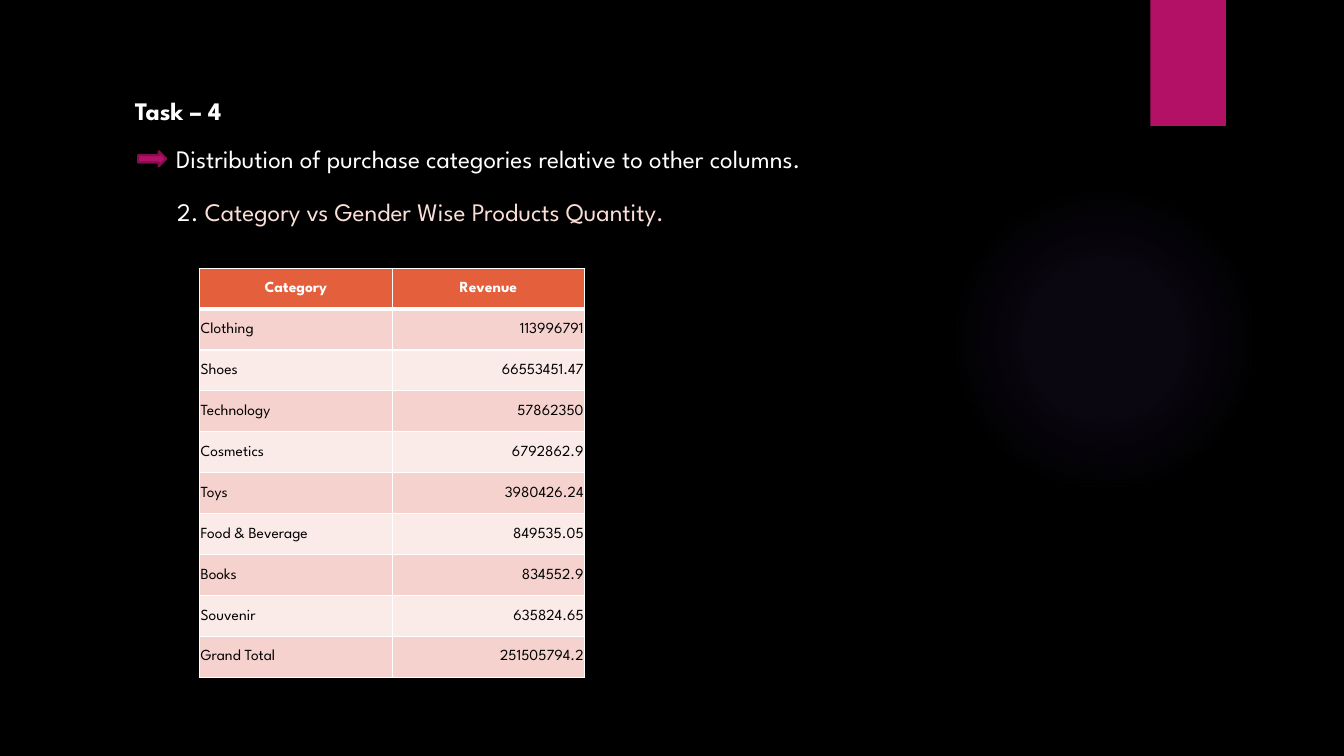
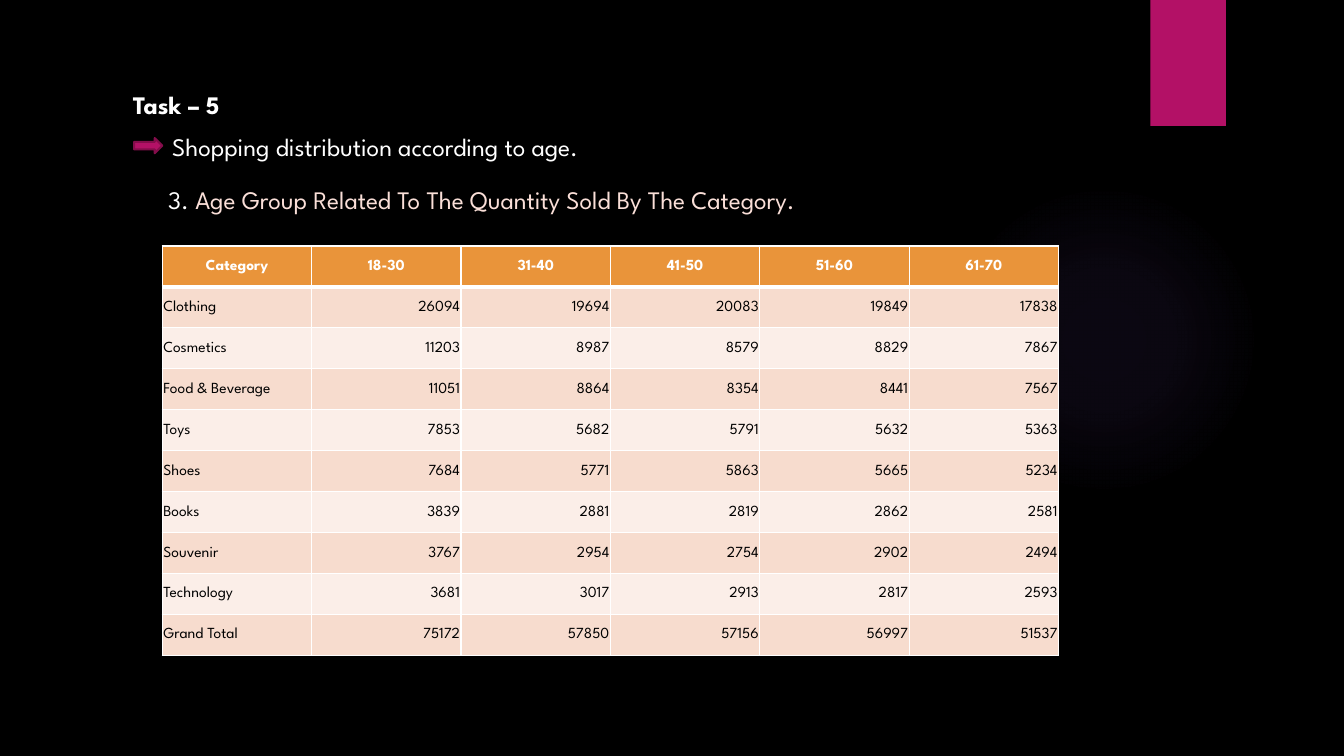
import pptx
import pptx.util
import pptx.oxml
import pptx.oxml.ns
from pptx.dml.color import RGBColor
from pptx.enum.shapes import MSO_SHAPE
from pptx.enum.text import MSO_ANCHOR, PP_ALIGN


class Theme:
    font = "League Spartan"
    head, body = 18, 11
    back, ink, white = "000000", "000000", "FFFFFF"
    pink, plum, blush, glow = "B31166", "840D4B", "FADFD8", "9B6BF2"
    line, rule = 1, 3


WIDE, HIGH = 13.33, 7.5
ROW = 0.406
ARROW = (0.28, 0.15)
GLOW = [(0, 7), (36, 6), (69, 0)]  # stop and opacity, in percent

# Each text line: left, top, width. Each palette: header, odd row, even row.
TASKS = [
    {
        "title": ("Task – 4", (1.24, 0.9, 1.14)),
        "aim": ("Distribution of purchase categories relative to other columns.",
                (1.65, 1.37, 7.67)),
        "arrow": (1.37, 1.5),
        "topic": ("2. ", "Category vs Gender Wise Products Quantity.",
                  (1.66, 1.9, 5.94)),
        "grid": (1.98, 2.66, 3.82),
        "fills": ("E45F3C", "F5D2CE", "FAEAE8"),
        "rows": [
            ("Category", "Revenue"),
            ("Clothing", "113996791"),
            ("Shoes", "66553451.47"),
            ("Technology", "57862350"),
            ("Cosmetics", "6792862.9"),
            ("Toys", "3980426.24"),
            ("Food & Beverage", "849535.05"),
            ("Books", "834552.9"),
            ("Souvenir", "635824.65"),
            ("Grand Total", "251505794.2"),
        ],
    },
    {
        "title": ("Task – 5", (1.22, 0.84, 1.14)),
        "aim": ("Shopping distribution according to age.", (1.61, 1.25, 5.08)),
        "arrow": (1.33, 1.37),
        "topic": ("3. ", "Age Group Related To The Quantity Sold By The Category.",
                  (1.57, 1.78, 7.61)),
        "grid": (1.61, 2.44, 8.89),
        "fills": ("E9943A", "F7DCCE", "FBEEE8"),
        "rows": [
            ("Category", "18-30", "31-40", "41-50", "51-60", "61-70"),
            ("Clothing", "26094", "19694", "20083", "19849", "17838"),
            ("Cosmetics", "11203", "8987", "8579", "8829", "7867"),
            ("Food & Beverage", "11051", "8864", "8354", "8441", "7567"),
            ("Toys", "7853", "5682", "5791", "5632", "5363"),
            ("Shoes", "7684", "5771", "5863", "5665", "5234"),
            ("Books", "3839", "2881", "2819", "2862", "2581"),
            ("Souvenir", "3767", "2954", "2754", "2902", "2494"),
            ("Technology", "3681", "3017", "2913", "2817", "2593"),
            ("Grand Total", "75172", "57850", "57156", "56997", "51537"),
        ],
    },
]


def inch(*sizes):
    return [pptx.util.Inches(size) for size in sizes]


def rgb(code):
    return RGBColor.from_string(code)


def style(run, size, color, bold=False):
    font = run.font
    font.name, font.size, font.bold = Theme.font, pptx.util.Pt(size), bold
    font.color.rgb = rgb(color)


def shape(slide, kind, box, fill, line=None):
    item = slide.shapes.add_shape(kind, *inch(*box))
    item.shadow.inherit = False
    item.fill.solid()
    item.fill.fore_color.rgb = rgb(fill)
    if line:
        item.line.color.rgb = rgb(line)
        item.line.width = pptx.util.Pt(1.5)
    else:
        item.line.fill.background()
    return item


def fade(item):
    """Swap the solid fill for a round glow that fades outwards."""
    stops = "".join(
        f'<a:gs pos="{pos * 1000}"><a:srgbClr val="{Theme.glow}">'
        f'<a:alpha val="{alpha * 1000}"/></a:srgbClr></a:gs>'
        for pos, alpha in GLOW)
    grad = pptx.oxml.parse_xml(
        f'<a:gradFill {pptx.oxml.ns.nsdecls("a")}><a:gsLst>{stops}</a:gsLst>'
        '<a:path path="circle"><a:fillToRect l="50000" t="50000" r="50000" b="50000"/>'
        '</a:path></a:gradFill>')
    props = item.element.spPr
    props.replace(props.find(pptx.oxml.ns.qn("a:solidFill")), grad)


def backdrop(slide):
    fade(shape(slide, MSO_SHAPE.OVAL, (9.41, 1.83, 3.08, 3.08), Theme.glow))
    shape(slide, MSO_SHAPE.RECTANGLE, (11.41, 0, 0.75, 1.25), Theme.pink)


def label(slide, place, parts, bold=False):
    """Add one line of text made of (words, color) parts."""
    frame = slide.shapes.add_textbox(*inch(*place, 0.4)).text_frame
    frame.word_wrap = True
    for words, color in parts:
        run = frame.paragraphs[0].add_run()
        run.text = words
        style(run, Theme.head, color, bold)


def border(cell, top, bottom):
    props = cell._tc.get_or_add_tcPr()
    for side, width in zip("LRTB", (Theme.line, Theme.line, top, bottom)):
        props.append(pptx.oxml.parse_xml(
            f'<a:ln{side} {pptx.oxml.ns.nsdecls("a")} w="{pptx.util.Pt(width)}">'
            f'<a:solidFill><a:srgbClr val="{Theme.white}"/></a:solidFill></a:ln{side}>'))


def fill_cell(cell, words, row, col, fills):
    head = row == 0
    border(cell, Theme.rule if row == 1 else Theme.line,
           Theme.rule if head else Theme.line)
    cell.fill.solid()
    cell.fill.fore_color.rgb = rgb(fills[0] if head else fills[2 - row % 2])
    cell.vertical_anchor = MSO_ANCHOR.MIDDLE
    cell.margin_left = cell.margin_top = cell.margin_right = pptx.util.Inches(0.01)
    cell.margin_bottom = 0
    para = cell.text_frame.paragraphs[0]
    para.text = words
    para.alignment = (PP_ALIGN.CENTER if head
                      else PP_ALIGN.RIGHT if col else PP_ALIGN.LEFT)
    style(para.runs[0], Theme.body, Theme.white if head else Theme.ink, head)


def grid(slide, place, rows, fills):
    cols = len(rows[0])
    table = slide.shapes.add_table(
        len(rows), cols, *inch(*place, ROW * len(rows))).table
    for col in table.columns:
        col.width = pptx.util.Inches(place[2] / cols)
    for r, row in enumerate(rows):
        table.rows[r].height = pptx.util.Inches(ROW)
        for c, words in enumerate(row):
            fill_cell(table.cell(r, c), words, r, c, fills)


def build(deck, task):
    slide = deck.slides.add_slide(deck.slide_layouts[6])
    backdrop(slide)
    title, place = task["title"]
    label(slide, place, [(title, Theme.white)], bold=True)
    aim, place = task["aim"]
    label(slide, place, [(aim, Theme.white)])
    shape(slide, MSO_SHAPE.RIGHT_ARROW, task["arrow"] + ARROW, Theme.pink, Theme.plum)
    number, topic, place = task["topic"]
    label(slide, place, [(number, Theme.white), (topic, Theme.blush)])
    grid(slide, task["grid"], task["rows"], task["fills"])


def main():
    deck = pptx.Presentation()
    deck.slide_width, deck.slide_height = inch(WIDE, HIGH)
    paint = deck.slide_master.background.fill
    paint.solid()
    paint.fore_color.rgb = rgb(Theme.back)
    for task in TASKS:
        build(deck, task)
    deck.save("out.pptx")


if __name__ == "__main__":
    main()
